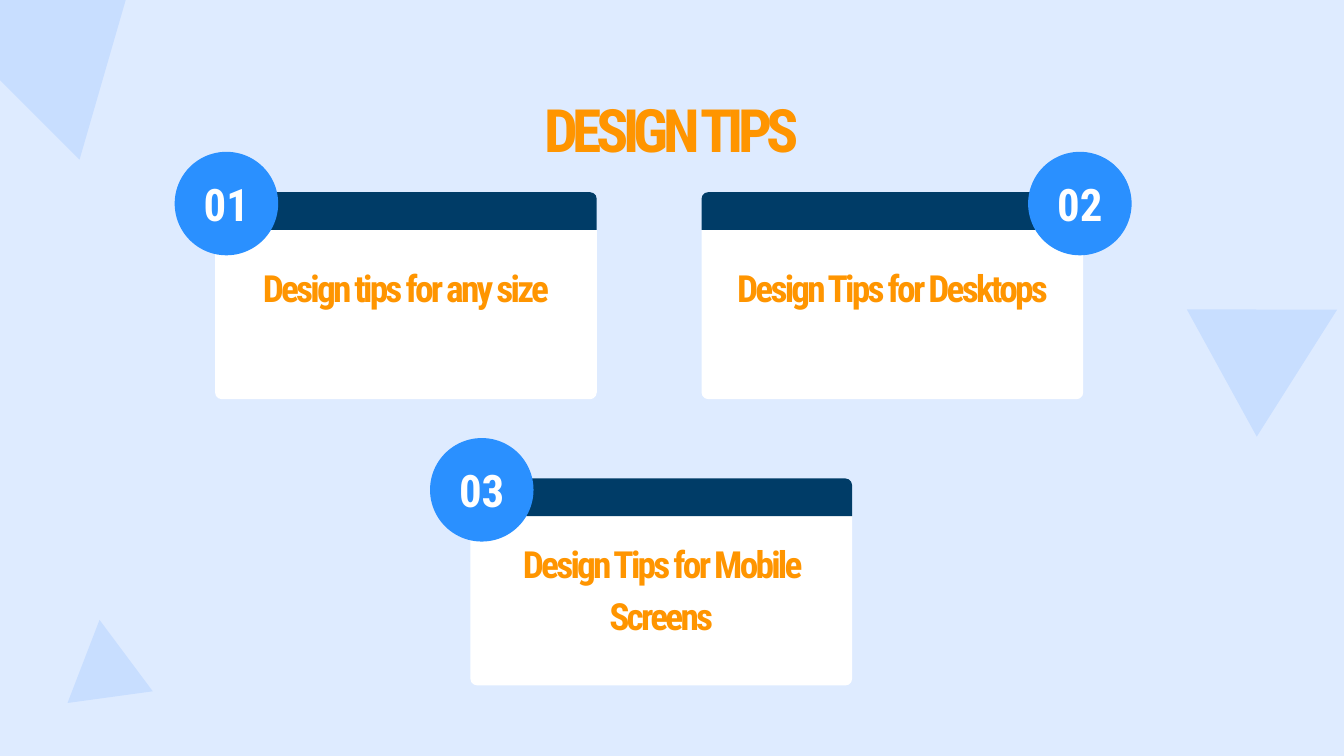
import pptx
import pptx.util
import pptx.dml.color
import pptx.enum.shapes
import pptx.enum.text

Inches = pptx.util.Inches
RGBColor = pptx.dml.color.RGBColor
Shape = pptx.enum.shapes.MSO_SHAPE
Anchor = pptx.enum.text.MSO_ANCHOR

PALE_BLUE = RGBColor(0xDE, 0xEB, 0xFF)
SOFT_BLUE = RGBColor(0xC8, 0xDE, 0xFF)
BRIGHT_BLUE = RGBColor(0x2A, 0x90, 0xFF)
NAVY = RGBColor(0x00, 0x3C, 0x67)
WHITE = RGBColor(0xFF, 0xFF, 0xFF)
ORANGE = RGBColor(0xFF, 0x95, 0x00)

CARD_WIDTH, HEADER_HEIGHT, BODY_HEIGHT = 2.84, 0.28, 1.26
CORNER = 0.05
BADGE_SIZE = 0.77
LABEL_WIDTH = 2.7


def add_plain_shape(page, kind, box, color, rotation=0):
    """Add a flat shape without outline or shadow."""
    shape = page.shapes.add_shape(kind, *map(Inches, box))
    shape.shadow.inherit = False
    shape.fill.solid()
    shape.fill.fore_color.rgb = color
    shape.line.fill.background()
    shape.rotation = rotation
    return shape


def write_text(frame, text, size, color, margin=0.1, tracking=0):
    """Fill a text frame with one centred bold paragraph."""
    frame.word_wrap = True
    frame.margin_left = frame.margin_right = Inches(margin)
    frame.margin_top = frame.margin_bottom = Inches(margin)
    para = frame.paragraphs[0]
    para.text = text
    para.alignment = pptx.enum.text.PP_ALIGN.CENTER
    para.font.name = "Roboto Condensed"
    para.font.size = pptx.util.Pt(size)
    para.font.bold = True
    para.font.color.rgb = color
    if tracking:
        properties = para._p.get_or_add_pPr().get_or_add_defRPr()
        properties.set("spc", str(int(tracking * 100)))
    return para


def add_background(page):
    """Colour the page and scatter the three triangles."""
    page.background.fill.solid()
    page.background.fill.fore_color.rgb = PALE_BLUE
    triangles = [
        ((8.98, 2.05, 1.08, 0.98), 61.2),
        ((-0.49, -1.1, 2.03, 1.84), 45),
        ((0.46, 4.61, 0.64, 0.58), 352.2),
    ]
    for box, rotation in triangles:
        add_plain_shape(page, Shape.ISOSCELES_TRIANGLE, box, SOFT_BLUE, rotation)


def add_title(page, box, text):
    """Add the page heading."""
    title = page.shapes.add_textbox(*map(Inches, box))
    write_text(title.text_frame, text, 32, ORANGE, tracking=-3)


def add_card(page, left, top, number, text, badge_left=-0.3, label_top=0.39):
    """Add a card with its header, numbered badge and label."""
    body_box = (left, top + HEADER_HEIGHT, CARD_WIDTH, BODY_HEIGHT)
    body = add_plain_shape(page, Shape.ROUND_2_SAME_RECTANGLE, body_box, WHITE, 180)
    body.adjustments[0] = CORNER / BODY_HEIGHT
    header_box = (left, top, CARD_WIDTH, HEADER_HEIGHT)
    header = add_plain_shape(page, Shape.ROUND_2_SAME_RECTANGLE, header_box, NAVY)
    header.adjustments[0] = CORNER / HEADER_HEIGHT

    badge_box = (left + badge_left, top - 0.3, BADGE_SIZE, BADGE_SIZE)
    badge = add_plain_shape(page, Shape.OVAL, badge_box, BRIGHT_BLUE)
    badge.text_frame.vertical_anchor = Anchor.MIDDLE
    write_text(badge.text_frame, number, 24, WHITE, margin=0)

    label_left = left + (CARD_WIDTH - LABEL_WIDTH) / 2
    label_box = (label_left, top + label_top, LABEL_WIDTH, 1)
    label = page.shapes.add_textbox(*map(Inches, label_box))
    para = write_text(label.text_frame, text, 20, ORANGE, tracking=-1.5)
    para.line_spacing = 1.15


def main():
    """Build the slide and save the deck."""
    deck = pptx.Presentation()
    deck.slide_width = Inches(10)
    deck.slide_height = deck.slide_width * 9 // 16
    page = deck.slides.add_slide(deck.slide_layouts[6])
    add_background(page)
    add_title(page, (0.78, 0.59, 8.44, 0.7), "DESIGN TIPS")
    add_card(page, 1.6, 1.43, "01", "Design tips for any size")
    add_card(page, 5.22, 1.43, "02", "Design Tips for Desktops", badge_left=2.43)
    add_card(page, 3.5, 3.56, "03", "Design Tips for Mobile Screens", label_top=0.32)
    deck.save("out.pptx")


if __name__ == "__main__":
    main()
